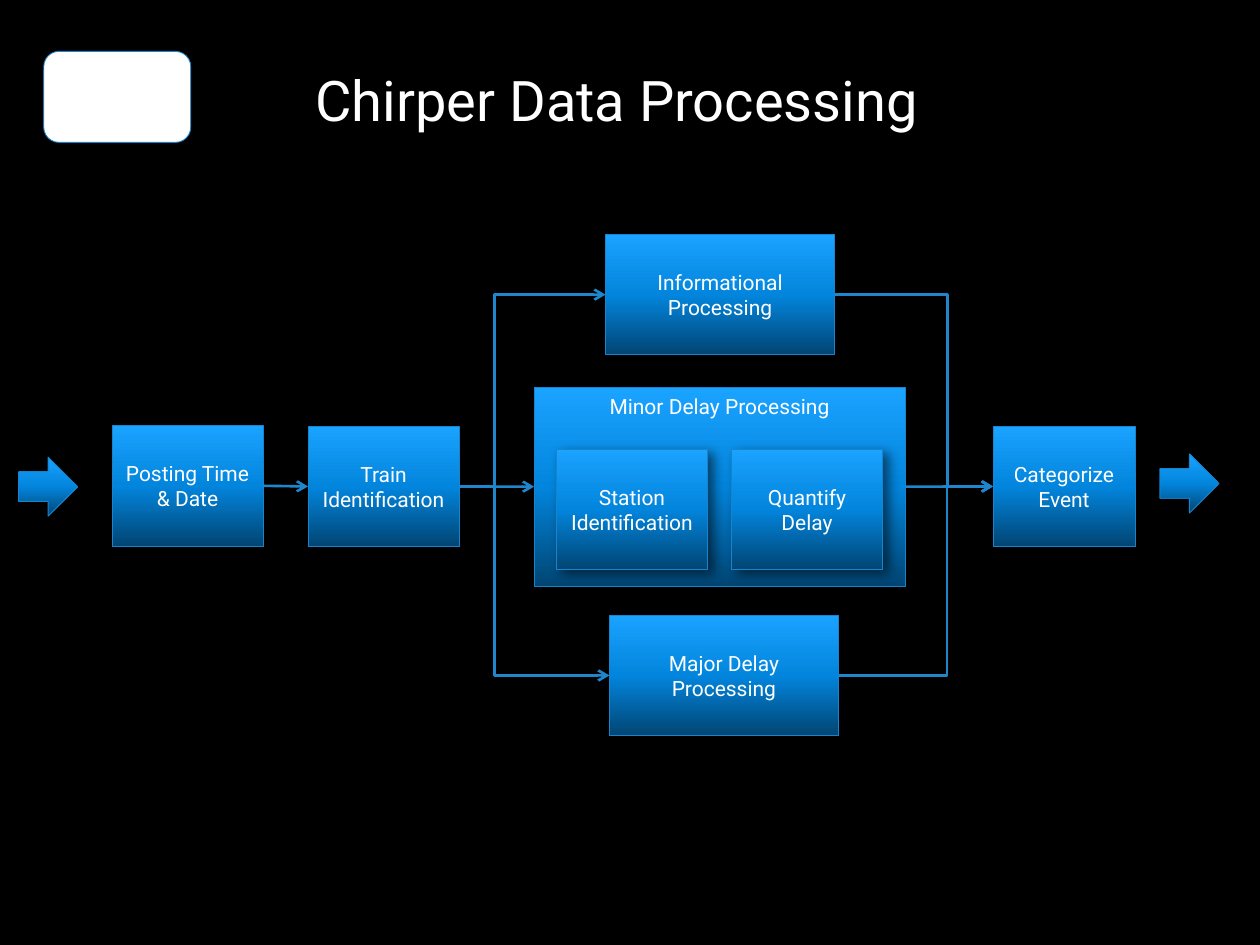
from lxml import etree
from pptx import Presentation
from pptx.dml.color import RGBColor
from pptx.enum.shapes import MSO_CONNECTOR, MSO_SHAPE
from pptx.enum.text import MSO_ANCHOR, PP_ALIGN
from pptx.oxml import parse_xml
from pptx.oxml.ns import nsdecls, qn
from pptx.util import Pt

RECTANGLE, ROUNDED = MSO_SHAPE.RECTANGLE, MSO_SHAPE.ROUNDED_RECTANGLE
RIGHT_ARROW = MSO_SHAPE.RIGHT_ARROW
STRAIGHT, ELBOW = MSO_CONNECTOR.STRAIGHT, MSO_CONNECTOR.ELBOW
TOP, MIDDLE, CENTER = MSO_ANCHOR.TOP, MSO_ANCHOR.MIDDLE, PP_ALIGN.CENTER

FONT, BLACK, WHITE, EDGE, FLOW = "Roboto", "000000", "FFFFFF", "1884CD", "1D86CD"
GRADIENT = ((0, "014573"), (50, "0285DD"), (100, "1AA3FF"))
LEFT_SITE, RIGHT_SITE = 1, 3
STAGE_HEIGHT = 68.8
STAGES = {
    "Minor Delay Processing": (295.2, 87.2, 212, 113.8, TOP),
    "Posting Time & Date": (54, 109.2, 86.4, STAGE_HEIGHT, MIDDLE),
    "Major Delay Processing": (338.2, 217.6, 131, STAGE_HEIGHT, MIDDLE),
    "Informational Processing": (336, 0, 131, STAGE_HEIGHT, MIDDLE),
    "Station Identification": (308, 122.6, 86.4, STAGE_HEIGHT, MIDDLE),
    "Quantify Delay": (408, 122.6, 86.4, STAGE_HEIGHT, MIDDLE),
    "Train Identification": (166, 109.6, 86.4, STAGE_HEIGHT, MIDDLE),
    "Categorize Event": (557.4, 109.6, 81.2, STAGE_HEIGHT, MIDDLE),
}
SPLIT_X, MERGE_X = 272.6, 531.3
LINKS = (
    ("Train Identification", "Informational Processing", SPLIT_X),
    ("Train Identification", "Major Delay Processing", SPLIT_X),
    ("Informational Processing", "Categorize Event", MERGE_X),
    ("Major Delay Processing", "Categorize Event", MERGE_X),
    ("Posting Time & Date", "Train Identification", None),
    ("Train Identification", "Minor Delay Processing", None),
    ("Minor Delay Processing", "Categorize Event", None),
)
ARROW_SIZE = 33.8
ARROWS = ((0.6, 127.2), (652.8, 125.4))


def rgb(value):
    """Turn a hex string into a colour."""
    return RGBColor.from_string(value)


def write(shape, text, size, anchor):
    """Put one centred white line of text into a shape."""
    frame = shape.text_frame
    frame.word_wrap = True
    frame.vertical_anchor = anchor
    frame.margin_left = frame.margin_right = Pt(6)
    paragraph = frame.paragraphs[0]
    paragraph.alignment = CENTER
    run = paragraph.add_run()
    run.text = text
    run.font.name = FONT
    run.font.size = Pt(size)
    run.font.color.rgb = rgb(WHITE)


def add_panel(slide, preset, left, top, width, height):
    """Add a thinly outlined shape with a soft shadow."""
    panel = slide.shapes.add_shape(preset, Pt(left), Pt(top), Pt(width), Pt(height))
    panel.line.color.rgb = rgb(EDGE)
    panel.line.width = Pt(0.5)
    panel.shadow.inherit = False
    effects = panel._element.spPr.find(qn("a:effectLst"))
    effects.append(parse_xml(
        f'<a:outerShdw {nsdecls("a")} blurRad="{Pt(7)}" dist="{Pt(4)}" dir="{35 * 60000}" '
        f'rotWithShape="0"><a:srgbClr val="{BLACK}"><a:alpha val="55000"/></a:srgbClr>'
        '</a:outerShdw>'))
    return panel


def add_gradient_panel(slide, preset, left, top, width, height):
    """Add a panel shaded from dark at the bottom to bright at the top."""
    panel = add_panel(slide, preset, left, top, width, height)
    panel.fill.background()
    properties = panel._element.spPr
    stops = "".join(f'<a:gs pos="{position * 1000}"><a:srgbClr val="{color}"/></a:gs>'
                    for position, color in GRADIENT)
    properties.replace(properties.find(qn("a:noFill")), parse_xml(
        f'<a:gradFill {nsdecls("a")} rotWithShape="1"><a:gsLst>{stops}</a:gsLst>'
        f'<a:lin ang="{270 * 60000}" scaled="0"/></a:gradFill>'))
    return panel


def add_link(slide, source, target, bend_x=None):
    """Join two stages with an arrow, turning at bend_x if given."""
    link = slide.shapes.add_connector(STRAIGHT if bend_x is None else ELBOW, 0, 0, 0, 0)
    link.begin_connect(source, RIGHT_SITE)
    link.end_connect(target, LEFT_SITE)
    link.line.color.rgb = rgb(FLOW)
    link.line.width = Pt(1.5)
    properties = link._element.spPr
    etree.SubElement(properties.find(qn("a:ln")), qn("a:tailEnd"), type="arrow")
    etree.SubElement(properties, qn("a:effectLst"))
    if bend_x is not None:
        share = (Pt(bend_x) - link.begin_x) / (link.end_x - link.begin_x)
        guides = properties.find(qn("a:prstGeom")).get_or_add_avLst()
        etree.SubElement(guides, qn("a:gd"), name="adj1", fmla=f"val {round(share * 100000)}")


def add_header(slide, left, top, width, height):
    """Place the white badge and the title."""
    badge = add_panel(slide, ROUNDED, left, top + 20, 84, 52)
    badge.fill.solid()
    badge.fill.fore_color.rgb = rgb(WHITE)
    title = slide.shapes.add_textbox(Pt(left + 116.6), Pt(top), Pt(width - 116.6), Pt(height))
    write(title, "Chirper Data Processing", 32, MIDDLE)


def add_pipeline(slide, left, top):
    """Place the stages, their links and the entry and exit arrows."""
    stages = {}
    for label, (x, y, width, height, anchor) in STAGES.items():
        stages[label] = add_gradient_panel(slide, RECTANGLE, left + x, top + y, width, height)
        write(stages[label], label, 12, anchor)
    for source, target, bend_x in LINKS:
        add_link(slide, stages[source], stages[target],
                 None if bend_x is None else left + bend_x)
    for x, y in ARROWS:
        add_gradient_panel(slide, RIGHT_ARROW, left + x, top + y, ARROW_SIZE, ARROW_SIZE)


def main():
    """Build and save the slide."""
    deck = Presentation()
    deck.slide_width, deck.slide_height = Pt(720), Pt(540)
    slide = deck.slides.add_slide(deck.slide_layouts[6])
    slide.background.fill.solid()
    slide.background.fill.fore_color.rgb = rgb(BLACK)
    add_header(slide, 25, 9.4, 538.6, 94.4)
    add_pipeline(slide, 10, 134)
    deck.save("out.pptx")


if __name__ == "__main__":
    main()
